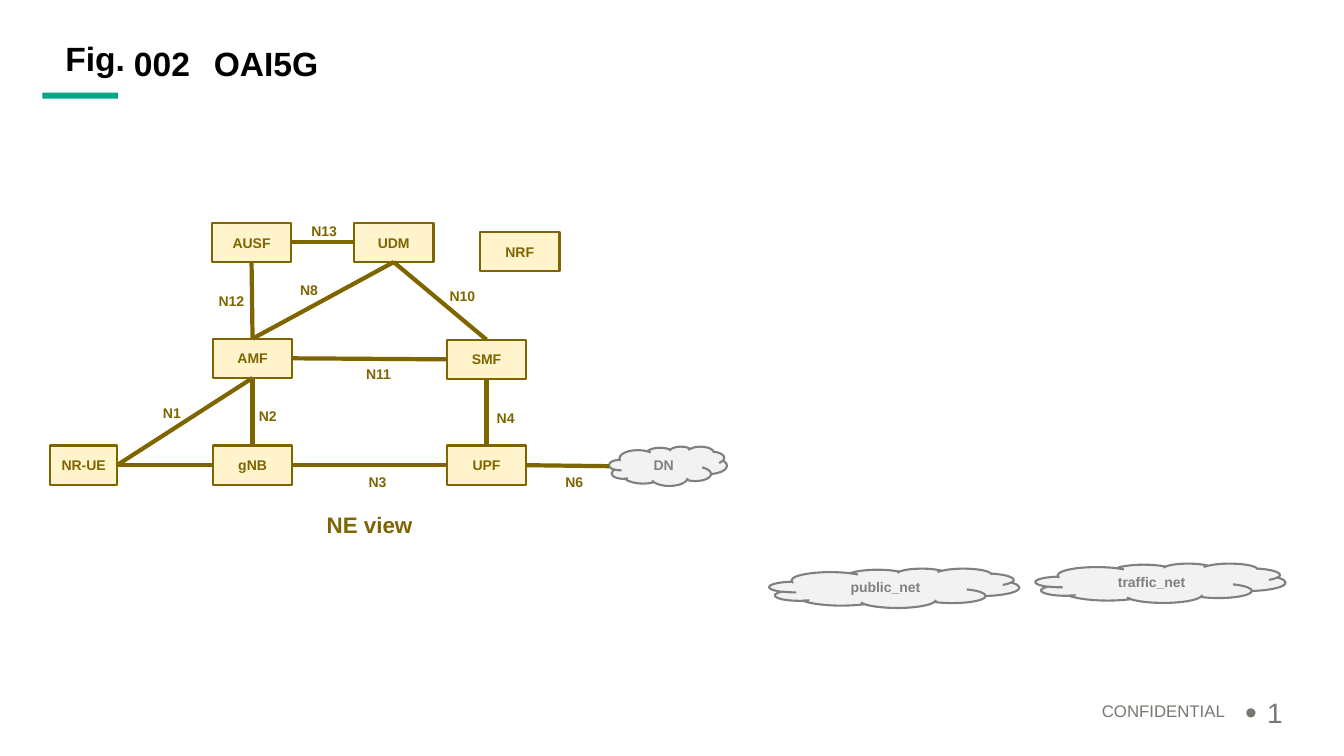
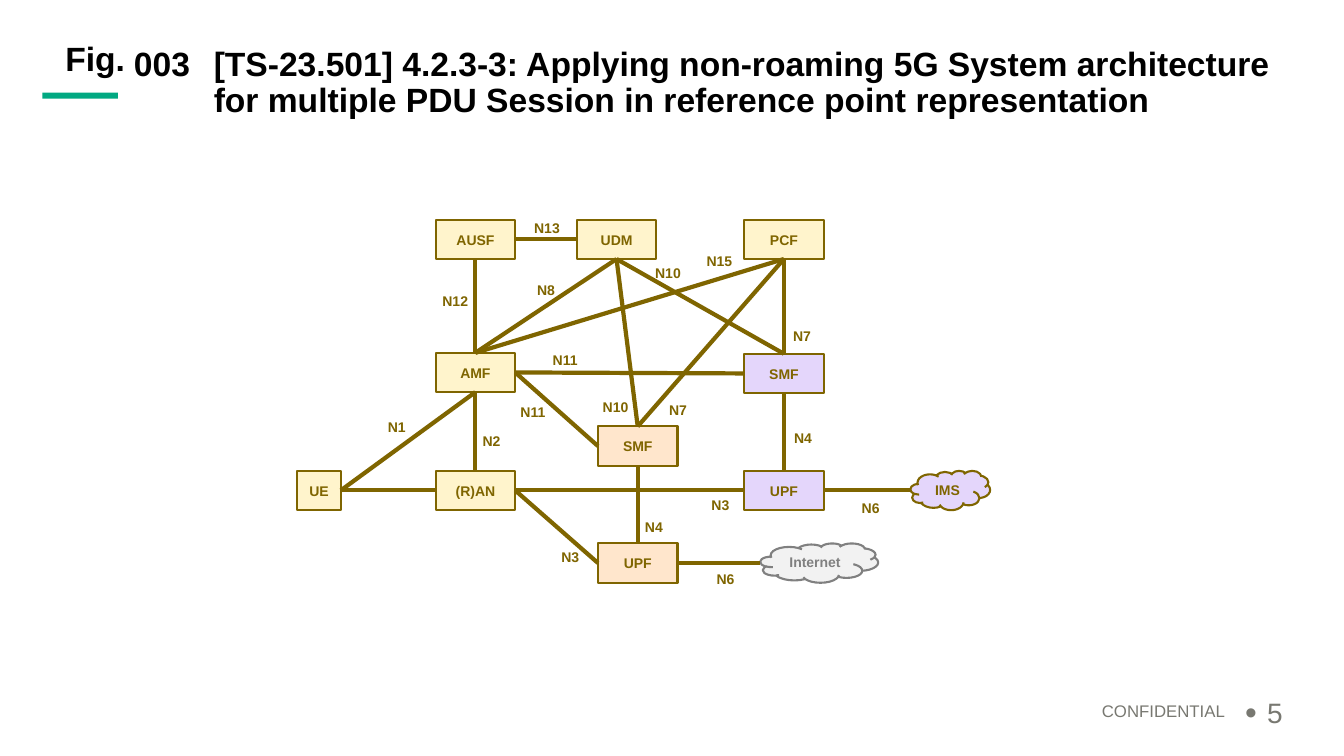
from dataclasses import dataclass

from lxml import etree
from pptx import Presentation
from pptx.dml.color import RGBColor
from pptx.enum.shapes import MSO_CONNECTOR, MSO_SHAPE
from pptx.enum.text import MSO_ANCHOR, MSO_AUTO_SIZE, PP_ALIGN
from pptx.oxml.ns import qn
from pptx.util import Inches, Pt


@dataclass(frozen=True)
class Theme:
    font: str = "Arial"
    black: RGBColor = RGBColor.from_string("000000")
    green: RGBColor = RGBColor.from_string("01A982")
    footer: RGBColor = RGBColor.from_string("787871")
    olive: RGBColor = RGBColor.from_string("7F6500")
    gray: RGBColor = RGBColor.from_string("808080")
    cream: RGBColor = RGBColor.from_string("FFF4CC")
    purple: RGBColor = RGBColor.from_string("E4D6FB")
    peach: RGBColor = RGBColor.from_string("FFE6CC")
    mist: RGBColor = RGBColor.from_string("F2F2F2")
    title_size: Pt = Pt(24)
    caption_size: Pt = Pt(16)
    label_size: Pt = Pt(10)
    footer_size: Pt = Pt(12)
    number_size: Pt = Pt(20)
    outline: Pt = Pt(1.5)
    link: Pt = Pt(3)


theme = Theme()
BOX_WIDTH, BOX_HEIGHT = 0.79, 0.39
HEAD_TOP, HEAD_HEIGHT = 0.42, 0.47
TOP, LEFT, BOTTOM, RIGHT = range(4)  # connection sites of a rectangle

TITLE = dict(size=theme.title_size, color=theme.black, bold=True)
CAPTION = dict(size=theme.caption_size, color=theme.olive, bold=True)
LABEL = dict(size=theme.label_size, color=theme.olive, bold=True)
GRAY_LABEL = dict(LABEL, color=theme.gray)
FOOTER = dict(size=theme.footer_size, color=theme.footer, bold=False)
NUMBER = dict(FOOTER, size=theme.number_size)

# kind: preset shape, fill, outline, text style
KINDS = {
    "core": (MSO_SHAPE.RECTANGLE, theme.cream, theme.olive, LABEL),
    "ims": (MSO_SHAPE.RECTANGLE, theme.purple, theme.olive, LABEL),
    "internet": (MSO_SHAPE.RECTANGLE, theme.peach, theme.olive, LABEL),
    "ims cloud": (MSO_SHAPE.CLOUD, theme.purple, theme.olive, LABEL),
    "cloud": (MSO_SHAPE.CLOUD, theme.mist, theme.gray, GRAY_LABEL),
}

# nodes: key -> text, kind, left, top, width
# links: from, site, to, site, label, label left, label top
SLIDES = [
    dict(
        figure="002", title="OAI5G", page="1",
        nodes={
            "ue": ("NR-UE", "core", 0.5, 4.42, 0.66),
            "gnb": ("gNB", "core", 2.11, 4.42, BOX_WIDTH),
            "amf": ("AMF", "core", 2.11, 3.36, BOX_WIDTH),
            "upf": ("UPF", "core", 4.43, 4.42, BOX_WIDTH),
            "smf": ("SMF", "core", 4.43, 3.37, BOX_WIDTH),
            "ausf": ("AUSF", "core", 2.1, 2.21, BOX_WIDTH),
            "udm": ("UDM", "core", 3.51, 2.21, BOX_WIDTH),
            "nrf": ("NRF", "core", 4.76, 2.3, BOX_WIDTH),
            "dn": ("DN", "cloud", 6.04, 4.43, 1.17),
            "public": ("public_net", "cloud", 7.63, 5.64, 2.48),
            "traffic": ("traffic_net", "cloud", 10.27, 5.59, 2.48),
        },
        links=[
            ("ue", RIGHT, "gnb", LEFT, None, 0, 0),
            ("ue", RIGHT, "amf", BOTTOM, "N1", 1.31, 3.9),
            ("amf", BOTTOM, "gnb", TOP, "N2", 2.26, 3.93),
            ("gnb", RIGHT, "upf", LEFT, "N3", 3.35, 4.59),
            ("smf", BOTTOM, "upf", TOP, "N4", 4.62, 3.95),
            ("upf", RIGHT, "dn", LEFT, "N6", 5.3, 4.59),
            ("amf", TOP, "udm", BOTTOM, "N8", 2.67, 2.68),
            ("udm", BOTTOM, "smf", TOP, "N10", 4.19, 2.74),
            ("amf", RIGHT, "smf", LEFT, "N11", 3.36, 3.51),
            ("amf", TOP, "ausf", BOTTOM, "N12", 1.9, 2.79),
            ("ausf", RIGHT, "udm", LEFT, "N13", 2.82, 2.1),
        ],
        captions=[("NE view", 3.02, 5.01, 1.29)],
    ),
    dict(
        figure="003", page="5",
        title="[TS-23.501] 4.2.3-3: Applying non-roaming 5G System architecture "
              "for multiple PDU Session in reference point representation",
        nodes={
            "ue": ("UE", "core", 2.95, 4.67, 0.43),
            "ran": ("(R)AN", "core", 4.32, 4.67, BOX_WIDTH),
            "amf": ("AMF", "core", 4.32, 3.5, BOX_WIDTH),
            "ausf": ("AUSF", "core", 4.32, 2.18, BOX_WIDTH),
            "udm": ("UDM", "core", 5.72, 2.18, BOX_WIDTH),
            "pcf": ("PCF", "core", 7.38, 2.18, BOX_WIDTH),
            "ims smf": ("SMF", "ims", 7.38, 3.51, BOX_WIDTH),
            "ims upf": ("UPF", "ims", 7.38, 4.67, BOX_WIDTH),
            "ims": ("IMS", "ims cloud", 9.03, 4.67, BOX_WIDTH),
            "net smf": ("SMF", "internet", 5.93, 4.23, BOX_WIDTH),
            "net upf": ("UPF", "internet", 5.93, 5.39, BOX_WIDTH),
            "net": ("Internet", "cloud", 7.54, 5.39, 1.17),
        },
        links=[
            ("ue", RIGHT, "ran", LEFT, None, 0, 0),
            ("ue", RIGHT, "amf", BOTTOM, "N1", 3.54, 4.04),
            ("amf", BOTTOM, "ran", TOP, "N2", 4.48, 4.18),
            ("ran", RIGHT, "ims upf", LEFT, "N3", 6.75, 4.81),
            ("ran", RIGHT, "net upf", LEFT, "N3", 5.26, 5.33),
            ("ims smf", BOTTOM, "ims upf", TOP, "N4", 7.57, 4.15),
            ("net smf", BOTTOM, "net upf", TOP, "N4", 6.09, 5.03),
            ("ims upf", RIGHT, "ims", LEFT, "N6", 8.24, 4.84),
            ("net upf", RIGHT, "net", LEFT, "N6", 6.8, 5.55),
            ("pcf", BOTTOM, "ims smf", TOP, "N7", 7.56, 3.14),
            ("pcf", BOTTOM, "net smf", TOP, "N7", 6.33, 3.87),
            ("amf", TOP, "udm", BOTTOM, "N8", 5.02, 2.68),
            ("udm", BOTTOM, "ims smf", TOP, "N10", 6.23, 2.51),
            ("udm", BOTTOM, "net smf", TOP, "N10", 5.71, 3.84),
            ("amf", RIGHT, "ims smf", LEFT, "N11", 5.21, 3.38),
            ("amf", RIGHT, "net smf", LEFT, "N11", 4.89, 3.89),
            ("amf", TOP, "ausf", BOTTOM, "N12", 4.12, 2.79),
            ("ausf", RIGHT, "udm", LEFT, "N13", 5.03, 2.07),
            ("amf", TOP, "pcf", BOTTOM, "N15", 6.74, 2.39),
        ],
        captions=[],
    ),
]


def write(shape, text, style, align=PP_ALIGN.CENTER, anchor=MSO_ANCHOR.MIDDLE,
          spacing=1.0, inset=(0.1, 0.05)):
    """Fill a shape with one styled paragraph and return that paragraph."""
    frame = shape.text_frame
    side, end = (Inches(length) for length in inset)
    settings = dict(word_wrap=True, auto_size=MSO_AUTO_SIZE.NONE, vertical_anchor=anchor,
                    margin_left=side, margin_right=side, margin_top=end, margin_bottom=end)
    for name, value in settings.items():
        setattr(frame, name, value)
    paragraph = frame.paragraphs[0]
    paragraph.alignment, paragraph.line_spacing = align, spacing
    run = paragraph.add_run()
    run.text = text
    for name, value in dict(name=theme.font, size=style["size"], bold=style["bold"]).items():
        setattr(run.font, name, value)
    run.font.color.rgb = style["color"]
    return paragraph


def add_box(slide, preset, fill, left, top, width, height):
    shape = slide.shapes.add_shape(preset, *map(Inches, (left, top, width, height)))
    shape.shadow.inherit = False
    shape.fill.solid()
    shape.fill.fore_color.rgb = fill
    shape.line.fill.background()
    return shape


presentation = Presentation()
presentation.slide_width, presentation.slide_height = Inches(13.33), Inches(7.5)
title_only = presentation.slide_layouts[5]

for content in SLIDES:
    slide = presentation.slides.add_slide(title_only)
    shapes = slide.shapes

    # Heading and footer
    add_box(slide, MSO_SHAPE.RECTANGLE, theme.green, 0.42, 0.92, 0.75, 0.06)
    title = shapes.title
    place = dict(left=2.02, top=HEAD_TOP, width=10.9, height=HEAD_HEIGHT)
    for name, value in place.items():
        setattr(title, name, Inches(value))
    heading = dict(anchor=MSO_ANCHOR.TOP, spacing=0.9)
    write(title, content["title"], TITLE, PP_ALIGN.LEFT, **heading)

    frame_texts = [
        ("Fig.", TITLE, PP_ALIGN.RIGHT, (0, 0), (0.45, HEAD_TOP, 0.79, HEAD_HEIGHT)),
        (content["figure"], TITLE, PP_ALIGN.LEFT, (0.1, 0.05), (1.23, HEAD_TOP, 0.79, HEAD_HEIGHT)),
        ("CONFIDENTIAL", FOOTER, PP_ALIGN.RIGHT, (0.1, 0.05), (7.75, 6.93, 4.5, 0.24)),
    ]
    for text, style, align, inset, area in frame_texts:
        write(shapes.add_textbox(*map(Inches, area)), text, style, align, inset=inset, **heading)

    number_box = shapes.add_textbox(*map(Inches, (12.25, 6.89, 0.75, 0.4)))
    paragraph = write(number_box, content["page"], NUMBER, PP_ALIGN.LEFT, spacing=0.9)
    properties = paragraph._p.get_or_add_pPr()
    properties.set("marL", str(Inches(0.22)))
    properties.set("indent", str(-Inches(0.22)))
    etree.SubElement(properties, qn("a:buSzPct")).set("val", "120000")
    etree.SubElement(properties, qn("a:buFont")).set("typeface", theme.font)
    etree.SubElement(properties, qn("a:buChar")).set("char", "•")

    # Network functions
    nodes = {}
    for key, (text, kind, left, top, width) in content["nodes"].items():
        preset, fill, outline, style = KINDS[kind]
        node = add_box(slide, preset, fill, left, top, width, BOX_HEIGHT)
        node.line.color.rgb = outline
        node.line.width = theme.outline
        write(node, text, style, inset=(0, 0))
        nodes[key] = node

    # Reference points
    for start, start_site, end, end_site, label, left, top in content["links"]:
        target = nodes[end]
        edge = (target.left, target.top + target.height // 2)
        link = shapes.add_connector(MSO_CONNECTOR.STRAIGHT, *edge, *edge)
        link.begin_connect(nodes[start], start_site)
        if target.auto_shape_type == MSO_SHAPE.RECTANGLE:
            link.end_connect(target, end_site)
        link.line.color.rgb = theme.olive
        link.line.width = theme.link
        etree.SubElement(link._element.spPr, qn("a:effectLst"))
        if label:
            label_box = shapes.add_textbox(*map(Inches, (left, top, BOX_WIDTH, BOX_HEIGHT)))
            write(label_box, label, LABEL)

    for text, left, top, width in content["captions"]:
        caption = shapes.add_textbox(*map(Inches, (left, top, width, BOX_HEIGHT)))
        write(caption, text, CAPTION)

presentation.save("out.pptx")
